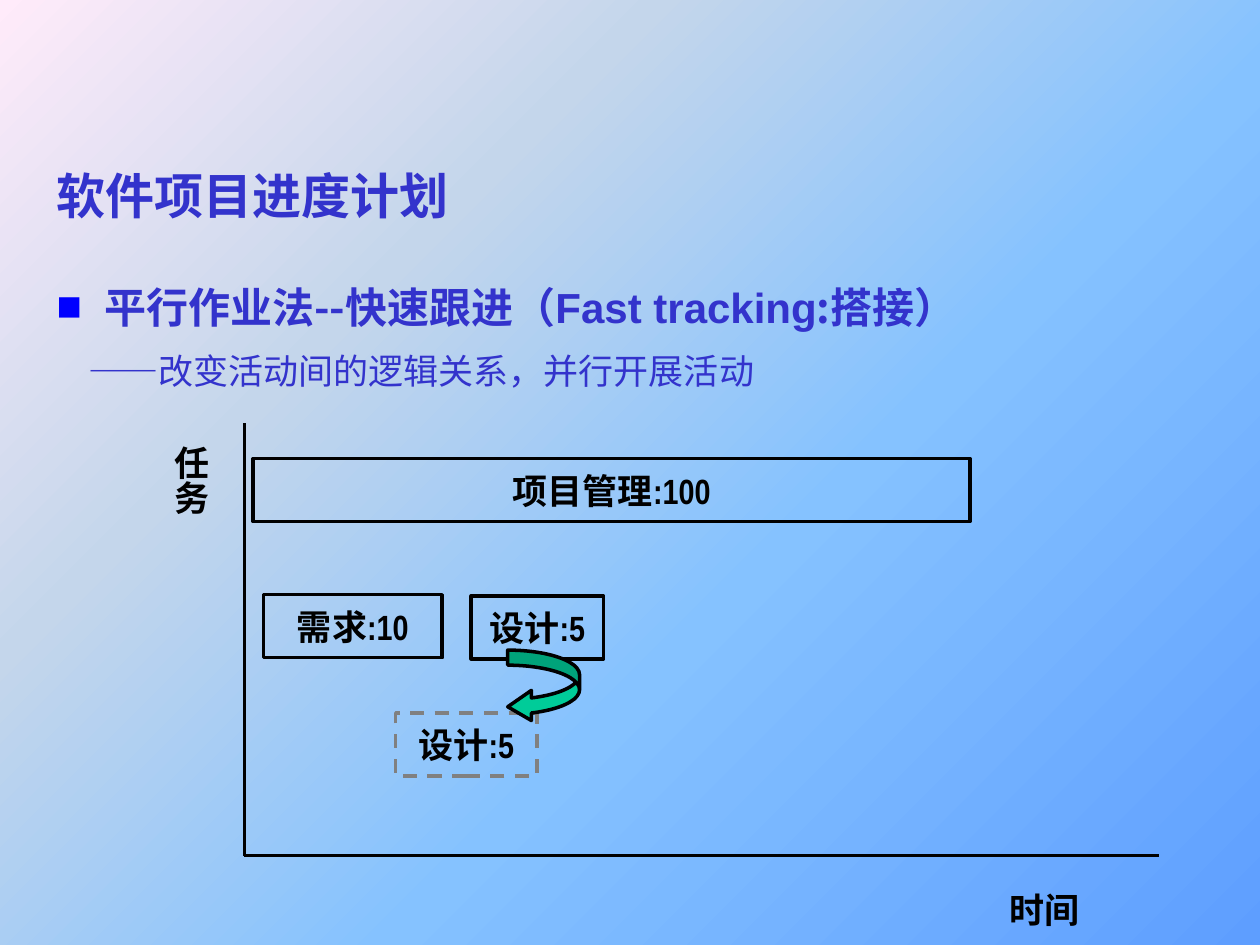
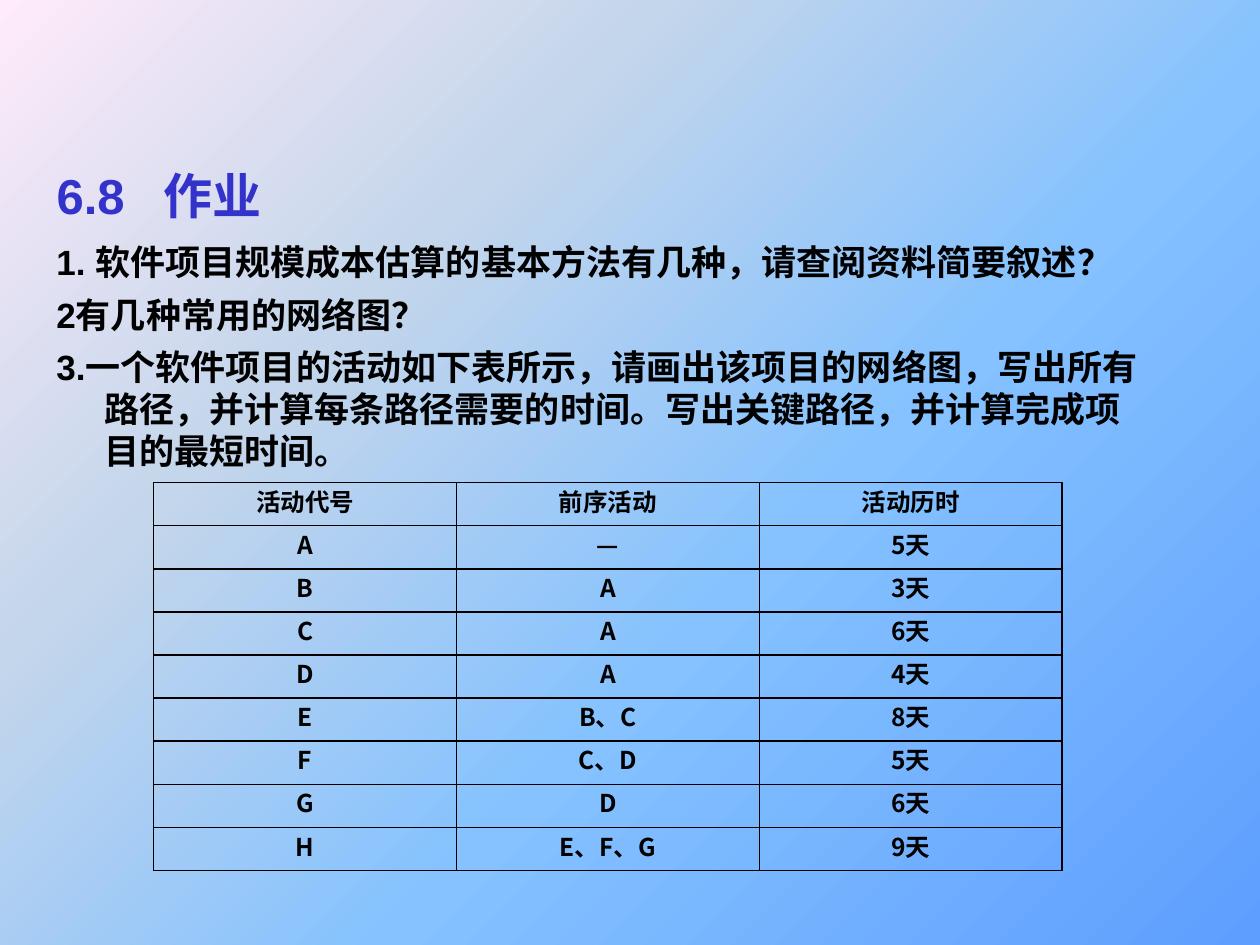
from lxml import etree
from pptx import Presentation
from pptx import util as u
from pptx.dml.color import RGBColor
from pptx.enum import dml, shapes, text
from pptx.oxml import ns

COLORS = {"title": "3333CC", "ink": "000000", "bullet": "0000FF",
          "ghost": "808080", "arrow": "00CC99"}
BACKGROUND = [(0, "5E9EFF"), (40, "85C2FF"), (70, "C4D6EB"), (100, "FFEBFA")]
CJK = "Noto Sans CJK SC"


def add(parent, tag, **attrs):
    return etree.SubElement(parent, ns.qn(tag), attrs)


def add_run(p, words, size, color="ink", font="Arial", bold=True):
    """Add a run whose East Asian letters use the CJK font."""
    r = p.add_run()
    r.text = words
    r.font.size = u.Pt(size)
    r.font.bold = bold
    r.font.name = font
    r.font.color.rgb = RGBColor.from_string(COLORS[color])
    add(r.font._element, "a:ea", typeface=CJK)


prs = Presentation()
prs.slide_width, prs.slide_height = u.Inches(10), u.Inches(7.5)

# Shared gradient background
fill = prs.slide_master.background.fill
fill.gradient()
fill.gradient_angle = 135
stops = fill._fill._gradFill.find(ns.qn("a:gsLst"))
for stop in list(stops):
    stops.remove(stop)
for pos, color in BACKGROUND:
    add(add(stops, "a:gs", pos=str(pos * 1000)), "a:srgbClr", val=color)

# Slides with their titles and body boxes
slides, bodies = [], []
for title, top, width, height in [("软件项目进度计划", 2.18, 9.45, 5.32),
                                  ("6.8\t作业", 1.86, 8.9, 5.09)]:
    s = prs.slides.add_slide(prs.slide_layouts[5])
    sp = s.shapes.title
    sp.left, sp.top = u.Inches(0.35), u.Inches(1.15)
    sp.width, sp.height = u.Inches(9.45), u.Inches(0.79)
    tf = sp.text_frame
    tf.auto_size = text.MSO_AUTO_SIZE.NONE
    tf.vertical_anchor = text.MSO_ANCHOR.MIDDLE
    p = tf.paragraphs[0]
    p.alignment = text.PP_ALIGN.LEFT
    tabs = add(p._p.get_or_add_pPr(), "a:tabLst")
    add(tabs, "a:tab", pos=str(u.Inches(0.85)), algn="l")
    add_run(p, title, 28, "title")
    tf = s.shapes.add_textbox(u.Inches(0.35), u.Inches(top),
                              u.Inches(width), u.Inches(height)).text_frame
    tf.word_wrap = True
    slides.append(s)
    bodies.append(tf)

# Slide 1: fast tracking
s, tf = slides[0], bodies[0]
p = tf.paragraphs[0]
p.line_spacing = u.Pt(29)
pPr = p._p.get_or_add_pPr()
pPr.set("marL", str(u.Inches(0.38)))
pPr.set("indent", str(u.Inches(-0.38)))
add(add(pPr, "a:buClr"), "a:srgbClr", val=COLORS["bullet"])
add(pPr, "a:buFont", typeface="Arial")
add(pPr, "a:buChar", char="■")
for words, font in [("平行作业法--快速跟进（", CJK), ("Fast tracking", "Arial"), (":搭接）", CJK)]:
    add_run(p, words, 24, "title", font)

p = tf.add_paragraph()
p.line_spacing, p.space_before = u.Pt(24), u.Pt(10)
p._p.get_or_add_pPr().set("marL", str(u.Inches(0.25)))
add_run(p, "——", 20, "title", "Arial", False)
add_run(p, "改变活动间的逻辑关系，并行开展活动", 20, "title", CJK, False)

for x, y in [(1.94, 3.36), (9.2, 6.79)]:
    axis = s.shapes.add_connector(shapes.MSO_CONNECTOR.STRAIGHT, u.Inches(1.94),
                                  u.Inches(6.79), u.Inches(x), u.Inches(y))
    axis.line.width = u.Pt(2)
    axis.line.color.rgb = RGBColor.from_string(COLORS["ink"])
    add(axis._element.spPr, "a:effectLst")

RECT, ARROW = shapes.MSO_SHAPE.RECTANGLE, shapes.MSO_SHAPE.CURVED_LEFT_ARROW
for kind, label, x, y, w, h, line in [
        (RECT, "项目管理:100", 2.01, 3.64, 5.69, 0.5, "ink"),
        (RECT, "需求:10", 2.09, 4.72, 1.42, 0.5, "ink"),
        (RECT, "设计:5", 3.74, 4.73, 1.05, 0.5, "ink"),
        (RECT, "设计:5", 3.14, 5.66, 1.12, 0.5, "ghost"),
        (ARROW, "", 4.03, 5.16, 0.57, 0.57, "ink")]:
    sp = s.shapes.add_shape(kind, u.Inches(x), u.Inches(y), u.Inches(w), u.Inches(h))
    sp.shadow.inherit = False
    sp.line.width = u.Pt(2)
    sp.line.color.rgb = RGBColor.from_string(COLORS[line])
    if line == "ghost":
        sp.line.dash_style = dml.MSO_LINE.DASH
    if kind == ARROW:
        sp.fill.solid()
        sp.fill.fore_color.rgb = RGBColor.from_string(COLORS["arrow"])
        for i, value in enumerate([0.21, 0.42, 0.33]):
            sp.adjustments[i] = value
        continue
    sp.fill.background()
    tf = sp.text_frame
    tf.word_wrap = False
    tf.vertical_anchor = text.MSO_ANCHOR.MIDDLE
    p = tf.paragraphs[0]
    p.alignment = text.PP_ALIGN.CENTER
    add_run(p, label, 20, font="Arial Narrow")

for label, x, y, w, h, vert, align in [
        ("任务", 1.2, 3.44, 0.53, 2.15, "eaVert", text.PP_ALIGN.LEFT),
        ("时间", 7.24, 7, 2.1, 0.43, "horz", text.PP_ALIGN.CENTER)]:
    tf = s.shapes.add_textbox(u.Inches(x), u.Inches(y), u.Inches(w), u.Inches(h)).text_frame
    tf.word_wrap = True
    tf._txBody.bodyPr.set("vert", vert)
    p = tf.paragraphs[0]
    p.alignment = align
    p.line_spacing = u.Pt(24)
    add_run(p, label, 20, font="Arial Narrow")

# Slide 2: homework
s, tf = slides[1], bodies[1]
questions = [
    "1. 软件项目规模成本估算的基本方法有几种，请查阅资料简要叙述？",
    "2有几种常用的网络图？",
    "3.一个软件项目的活动如下表所示，请画出该项目的网络图，写出所有路径，"
    "并计算每条路径需要的时间。写出关键路径，并计算完成项目的最短时间。"]
for i, question in enumerate(questions):
    p = tf.add_paragraph() if i else tf.paragraphs[0]
    p.line_spacing, p.space_before = u.Pt(24), u.Pt(6 if i else 0)
    pPr = p._p.get_or_add_pPr()
    pPr.set("marL", str(u.Inches(0.38)))
    pPr.set("indent", str(u.Inches(-0.38)))
    add_run(p, question, 20)

activities = [("活动代号", "前序活动", "活动历时"),
              ("A", "—", "5天"), ("B", "A", "3天"), ("C", "A", "6天"),
              ("D", "A", "4天"), ("E", "B、C", "8天"), ("F", "C、D", "5天"),
              ("G", "D", "6天"), ("H", "E、F、G", "9天")]
table = s.shapes.add_table(len(activities), 3, u.Inches(1.22), u.Inches(3.83),
                           u.Inches(7.21), u.Inches(3.08)).table
table.first_row = table.horz_banding = False
for row, values in enumerate(activities):
    for col, value in enumerate(values):
        cell = table.cell(row, col)
        cell.margin_left = cell.margin_right = u.Inches(0.07)
        cell.margin_top = cell.margin_bottom = 0
        tcPr = cell._tc.get_or_add_tcPr()
        for side in "LRTB":
            border = add(tcPr, f"a:ln{side}", w=str(u.Pt(1)))
            add(add(border, "a:solidFill"), "a:srgbClr", val=COLORS["ink"])
        cell.fill.background()
        p = cell.text_frame.paragraphs[0]
        p.alignment = text.PP_ALIGN.CENTER
        add_run(p, value, 14, font=CJK)

prs.save("out.pptx")
